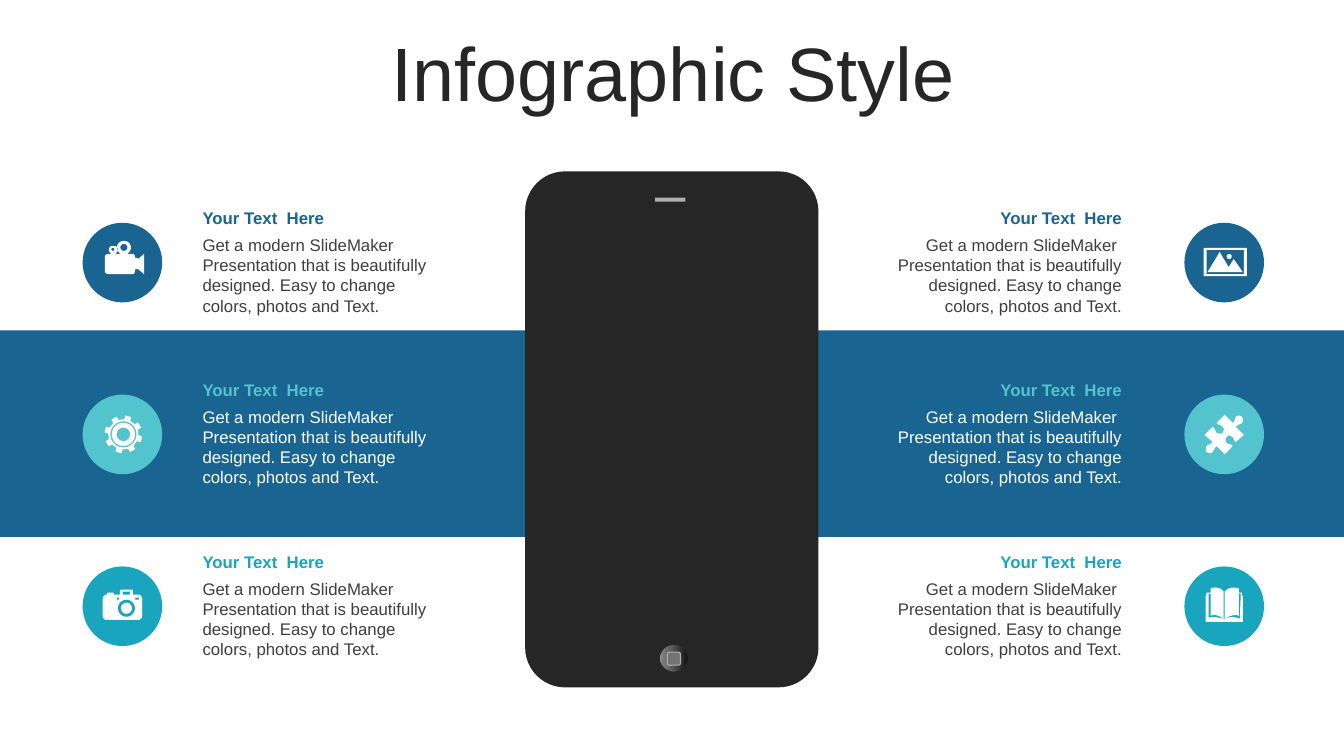
import math
from copy import deepcopy

from pptx import Presentation
from pptx import util as u
from pptx.dml import color
from pptx.enum import shapes, text
from pptx.oxml import ns

BLUE, AQUA, TEAL = "196491", "53C3CD", "19A5BE"
DARK, GREY, SILVER, WHITE = "262626", "3F3F3F", "B0B0B0", "FFFFFF"
HEADING = "Your Text  Here"
BODY = "Get a modern SlideMaker  Presentation that is beautifully designed. Easy to change colors, photos and Text."
GRID = 0.72
DISC = 56.9


def paint(target, value):
    if hasattr(target, "solid"):
        target.solid()
        target = target.fore_color
    target.rgb = color.RGBColor.from_string(value)


def assign(target, values):
    for name, value in values.items():
        setattr(target, name, value)


def points(*lengths):
    return [u.Pt(length) for length in lengths]


def add_block(page, kind, box, fill=None, line=None, width=1, corner=None):
    block = page.shapes.add_shape(kind, *points(*box))
    block.shadow.inherit = False
    if corner:
        block.adjustments[0] = corner
    if fill:
        paint(block.fill, fill)
    if line:
        paint(block.line.fill, line)
        block.line.width = u.Pt(width)
    else:
        block.line.fill.background()
    return block


def write(box, wording, size, ink, align, bold=False, spacing=None, **frame):
    assign(box.text_frame, {"word_wrap": True, **frame})
    para = box.text_frame.paragraphs[0]
    assign(para, {"alignment": align, "line_spacing": spacing})
    span = para.add_run()
    span.text = wording
    assign(span.font, {"name": "Arial", "size": u.Pt(size), "bold": bold})
    paint(span.font.color, ink)


def circle(across, down, radius, steps=32):
    turns = [2 * math.pi * step / steps for step in range(steps)]
    return [(across + radius * math.cos(turn), down + radius * math.sin(turn)) for turn in turns]


def rectangle(left, top, right, bottom):
    return [(left, top), (right, top), (right, bottom), (left, bottom)]


def cog(across, down, teeth=8):
    outline = []
    for tooth in range(teeth):
        for offset, radius in ((-12, 15), (-9, 18.8), (9, 18.8), (12, 15)):
            turn = math.radians(15 + 360 * tooth / teeth + offset)
            outline.append((across + radius * math.cos(turn), down + radius * math.sin(turn)))
    return outline


def flatten(outline, steps=6):
    flat = []
    for node in outline:
        if len(node) == 2:
            flat.append(node)
            continue
        start, first, second, end = flat[-1], node[:2], node[2:4], node[4:]
        for step in range(1, steps + 1):
            t = step / steps
            weights = ((1 - t) ** 3, 3 * t * (1 - t) ** 2, 3 * t * t * (1 - t), t ** 3)
            nodes = (start, first, second, end)
            flat.append(tuple(sum(w * n[axis] for w, n in zip(weights, nodes)) for axis in (0, 1)))
    return flat


VIDEO = [
    [(41, 18), (45, 18, 48, 21, 48, 25), (48, 27, 46, 30, 44, 31), (49, 31),
     (51, 31, 52, 32, 52, 34), (52, 35), (54, 35), (55, 35, 55, 36, 55, 36), (61, 31),
     (61, 51), (55, 46), (52, 46), (52, 48), (52, 50, 51, 51, 49, 51), (26, 51),
     (24, 51, 22, 50, 22, 48), (22, 34), (22, 32, 24, 31, 26, 31), (29, 31),
     (27, 30, 26, 28, 26, 27), (26, 24, 28, 23, 30, 23), (33, 23, 35, 24, 35, 27),
     (35, 28, 34, 30, 32, 31), (38, 31), (36, 30, 34, 27, 34, 25), (34, 21, 37, 18, 41, 18)],
    circle(30, 26.5, 1.5), circle(41, 24.5, 3.5)]
GEAR = [cog(40.5, 39.5)] + [circle(40.5, 39.5, radius) for radius in (13, 11.5, 6.7)]
CAMERA = [
    [(38, 23), (49, 23), (50, 23, 50, 24, 50, 24), (50, 28), (56, 28), (57, 28, 59, 30, 59, 32),
     (59, 50), (59, 51, 57, 53, 56, 53), (23, 53), (22, 53, 20, 51, 20, 50), (20, 32),
     (20, 30, 22, 28, 23, 28), (24, 28), (24, 27), (24, 27, 24, 26, 25, 26), (30, 26),
     (31, 26, 31, 27, 31, 27), (31, 28), (37, 28), (37, 24), (37, 24, 37, 23, 38, 23)],
    circle(43.5, 41.5, 8.5), circle(43.5, 41.5, 5.5), rectangle(34, 31, 36, 33),
    rectangle(52, 31, 56, 33), rectangle(40, 25, 47, 28)]
PHOTO = [
    rectangle(19, 25, 62, 53), rectangle(22, 27, 59, 51),
    [(35, 29), (44, 44), (49, 36), (58, 49), (23, 49)], circle(44.5, 33.5, 2.5)]
PUZZLE = [
    [(57, 22), (58, 24, 59, 26, 57, 28), (56, 30, 53, 29, 51, 32), (59, 40), (51, 47),
     (48, 45, 50, 43, 47, 42), (46, 40, 43, 40, 42, 42), (41, 43, 40, 46, 42, 48),
     (44, 50, 45, 48, 48, 51), (40, 59), (32, 51), (29, 54, 30, 54, 28, 57),
     (26, 59, 24, 58, 22, 57), (21, 56, 21, 53, 22, 51), (24, 49, 26, 50, 28, 47),
     (20, 40), (28, 32), (31, 34, 30, 36, 32, 38), (34, 39, 37, 39, 38, 38),
     (39, 36, 40, 34, 38, 32), (35, 29, 34, 31, 32, 28), (40, 20), (48, 28),
     (51, 26, 49, 25, 51, 22), (53, 20, 56, 21, 57, 22)]]
BOOK = [
    [(39, 52), (39, 52, 40, 53, 40, 52), (46, 50, 49, 49, 55, 52), (56, 27), (54, 27), (54, 49),
     (50, 47, 45, 49, 40, 52), (40, 25), (43, 22, 45, 21, 49, 21), (50, 21, 52, 21, 54, 22),
     (54, 26), (57, 26), (57, 29), (58, 29), (58, 55), (21, 55), (21, 29), (22, 29), (22, 26),
     (26, 26), (26, 22), (28, 21, 29, 21, 31, 21), (34, 21, 37, 22, 39, 25), (39, 52),
     (35, 49, 30, 47, 26, 49), (26, 27), (24, 27), (24, 51), (30, 49, 34, 51, 39, 52)]]


def add_icon(page, left, top, outlines):
    builder = None
    for outline in outlines:
        start, *rest = [tuple(points(x * GRID, y * GRID)) for x, y in flatten(outline)]
        if builder:
            builder.move_to(*start)
        else:
            builder = page.shapes.build_freeform(*start)
        builder.add_line_segments(rest, close=True)
    icon = builder.convert_to_shape(*points(left, top))
    icon.shadow.inherit = False
    paint(icon.fill, WHITE)
    icon.line.fill.background()


def add_title(page, left, top, width, height):
    title = page.shapes.title
    assign(title, dict(zip(("left", "top", "width", "height"), points(left, top, width, height))))
    write(title, "Infographic Style", 54, DARK, text.PP_ALIGN.CENTER, spacing=0.9,
          vertical_anchor=text.MSO_ANCHOR.MIDDLE, auto_size=text.MSO_AUTO_SIZE.NONE)


def add_phone(page, left, top, width, height):
    kinds = shapes.MSO_SHAPE
    add_block(page, kinds.ROUNDED_RECTANGLE, (left, top, width, height), DARK, corner=0.136)
    add_block(page, kinds.RECTANGLE, (left + 92.9, top + 18.7, 21.6, 2.9), SILVER)
    button = add_block(page, kinds.OVAL, (left + 95.8, top + 337.7, 20.9, 20.2), line=DARK)
    button.fill.gradient()
    button.fill.gradient_angle = 180
    stops = button.element.find(".//" + ns.qn("a:gsLst"))
    for stop in list(stops):
        stops.append(deepcopy(stop))
    shades = ((0, "0F0F0F"), (0.56, "595959"), (0.91, "7F7F7F"), (1, "BFBFBF"))
    for stop, (position, shade) in zip(button.fill.gradient_stops, shades):
        stop.position = position
        paint(stop.color, shade)
    add_block(page, kinds.ROUNDED_RECTANGLE, (left + 101.6, top + 343.4, 9.4, 9.4),
              "737373", SILVER, 0.75, 0.167)


def add_item(page, left, top, width, mirrored, accent, ink, outlines):
    disc_left = left + width - DISC if mirrored else left
    text_left = left if mirrored else left + width - 190
    align = text.PP_ALIGN.RIGHT if mirrored else text.PP_ALIGN.LEFT
    add_block(page, shapes.MSO_SHAPE.OVAL, (disc_left, top + 14.4, DISC, DISC), accent)
    add_icon(page, disc_left, top + 14.4, outlines)
    for wording, offset, height, shade, bold in ((HEADING, 0, 21.8, accent, True),
                                                 (BODY, 19.5, 65.5, ink, False)):
        box = page.shapes.add_textbox(*points(text_left, top + offset, 190, height))
        write(box, wording, 12, shade, align, bold, auto_size=text.MSO_AUTO_SIZE.SHAPE_TO_FIT_TEXT)


def main():
    deck = Presentation()
    assign(deck, {"slide_width": u.Pt(960), "slide_height": u.Pt(540)})
    page = deck.slides.add_slide(deck.slide_layouts[5])
    add_block(page, shapes.MSO_SHAPE.RECTANGLE, (0, 236.1, 960, 147.4), BLUE)
    add_phone(page, 375.1, 122.4, 209.5, 368.6)
    add_title(page, 25.2, 26.6, 911.5, 56.9)
    rows = ((BLUE, GREY, VIDEO, PHOTO), (AQUA, WHITE, GEAR, PUZZLE), (TEAL, GREY, CAMERA, BOOK))
    for row, (accent, ink, left_icon, right_icon) in enumerate(rows):
        top = 144.7 + 122.75 * row
        add_item(page, 59, top, 268.6, False, accent, ink, left_icon)
        add_item(page, 618.5, top, 284.4, True, accent, ink, right_icon)
    deck.save("out.pptx")


if __name__ == "__main__":
    main()
